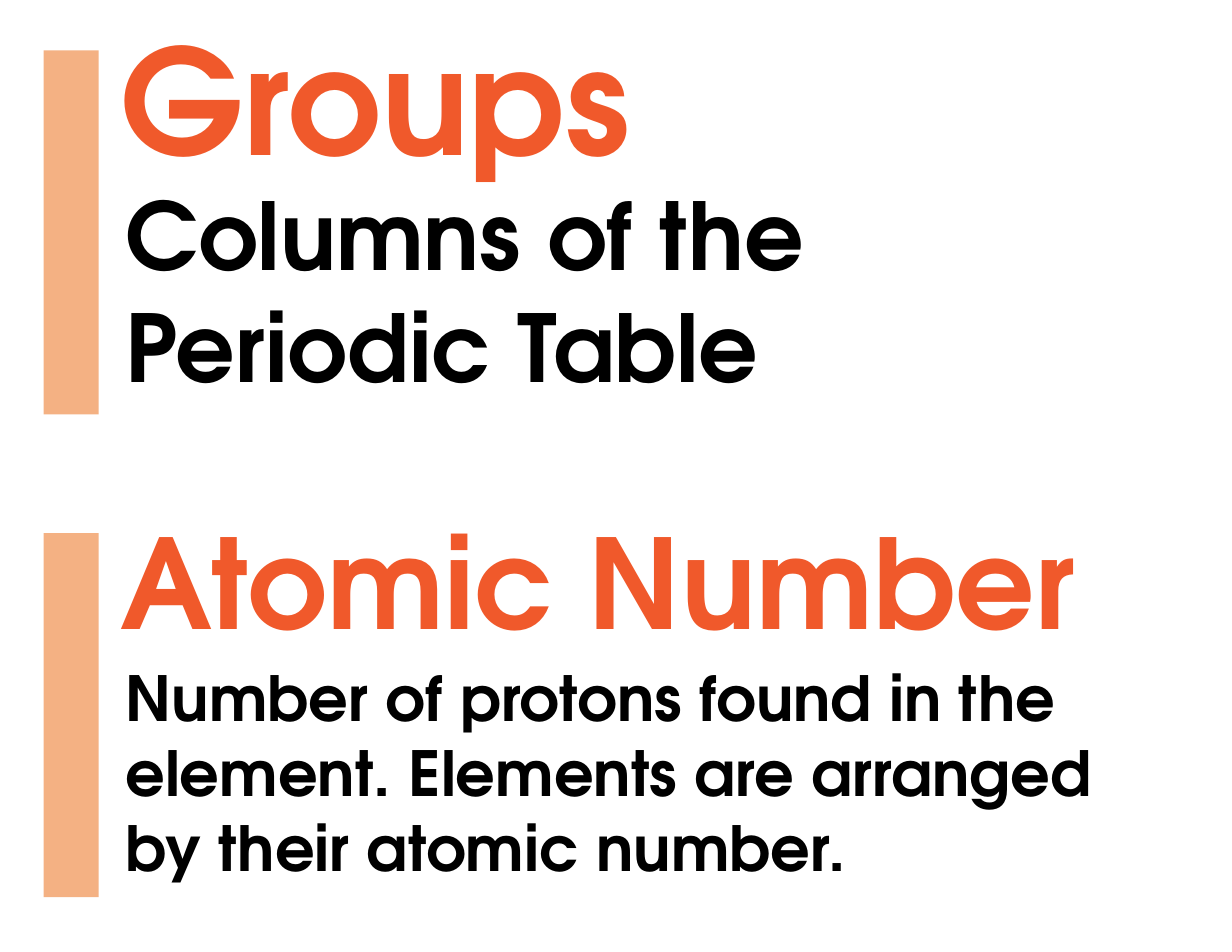
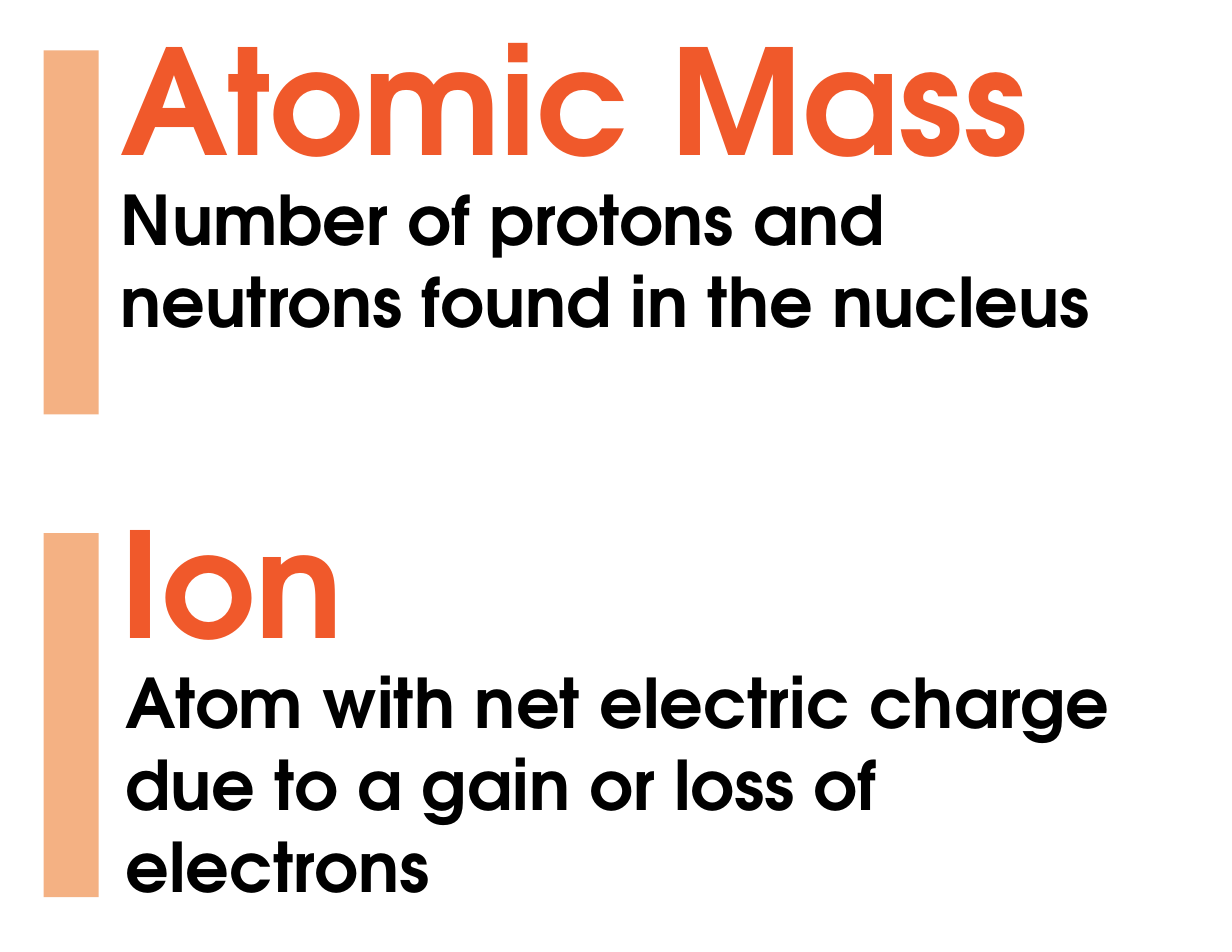
from dataclasses import dataclass

from pptx import Presentation
from pptx.dml.color import RGBColor
from pptx.enum.shapes import MSO_SHAPE
from pptx.enum.text import MSO_ANCHOR, MSO_AUTO_SIZE, PP_ALIGN
from pptx.util import Inches, Pt

COLORS = {"term": "F0592B", "meaning": "000000", "bar": "F4B183", "page": "FFFFFF"}
FONT = "TeX Gyre Adventor"
CARD_PITCH = 4.31
TITLE_ONLY = 5


@dataclass
class Card:
    """A vocabulary term with its meaning and text sizes."""
    term: str
    meaning: str
    term_size: int = 94
    meaning_size: int = 44
    meaning_left: float = 1.02


PAGES = [
    [
        Card("Groups", "Columns of the Periodic Table", meaning_size=60),
        Card("Atomic Number",
             "Number of protons found in the element. "
             "Elements are arranged by their atomic number.",
             term_size=80, meaning_size=40),
    ],
    [
        Card("Atomic Mass", "Number of protons and neutrons found in the nucleus",
             meaning_left=0.98),
        Card("Ion", "Atom with net electric charge due to a gain or loss of electrons"),
    ],
]


def set_values(target, values):
    """Set each named attribute of the target."""
    for name, value in values.items():
        setattr(target, name, value)


def place(box, left, top, width, height):
    """Move and size a box given in inches."""
    set_values(box, {"left": Inches(left), "top": Inches(top),
                     "width": Inches(width), "height": Inches(height)})


def write_text(box, text, size, color, anchor):
    """Write one bold, left-aligned paragraph in the box."""
    frame = box.text_frame
    set_values(frame, {"word_wrap": True, "auto_size": MSO_AUTO_SIZE.NONE,
                       "vertical_anchor": anchor,
                       "margin_left": Inches(0.1), "margin_right": Inches(0.1),
                       "margin_top": Inches(0.05), "margin_bottom": Inches(0.05)})
    para = frame.paragraphs[0]
    para.alignment = PP_ALIGN.LEFT
    span = para.add_run()
    span.text = text
    set_values(span.font, {"name": FONT, "size": Pt(size), "bold": True})
    span.font.color.rgb = RGBColor.from_string(COLORS[color])


def add_text_box(page):
    """Add an empty text box to be placed later."""
    return page.shapes.add_textbox(0, 0, 0, 0)


def add_bar(page, top):
    """Add the vertical bar beside a card."""
    bar = page.shapes.add_shape(MSO_SHAPE.RECTANGLE, Inches(0.39), Inches(top),
                                Inches(0.49), Inches(3.25))
    bar.shadow.inherit = False
    bar.fill.solid()
    bar.fill.fore_color.rgb = RGBColor.from_string(COLORS["bar"])
    bar.line.fill.background()


def add_card(page, card, offset, term_box):
    """Fill in a term, its meaning and its bar at the given offset."""
    place(term_box, 0.98, 0.02 + offset, 9.59, 1.7)
    write_text(term_box, card.term, card.term_size, "term", MSO_ANCHOR.MIDDLE)
    meaning_box = add_text_box(page)
    place(meaning_box, card.meaning_left, 1.53 + offset, 9.45, 2.18)
    write_text(meaning_box, card.meaning, card.meaning_size, "meaning", MSO_ANCHOR.TOP)
    add_bar(page, 0.45 + offset)


def add_page(deck, cards):
    """Add a page of stacked cards, the first term being its title."""
    page = deck.slides.add_slide(deck.slide_layouts[TITLE_ONLY])
    page.background.fill.solid()
    page.background.fill.fore_color.rgb = RGBColor.from_string(COLORS["page"])
    for index, card in enumerate(cards):
        term_box = page.shapes.title if index == 0 else add_text_box(page)
        add_card(page, card, index * CARD_PITCH, term_box)


def main():
    """Build and save the vocabulary cards."""
    deck = Presentation()
    set_values(deck, {"slide_width": Inches(11), "slide_height": Inches(8.5)})
    for cards in PAGES:
        add_page(deck, cards)
    deck.save("out.pptx")


if __name__ == "__main__":
    main()
